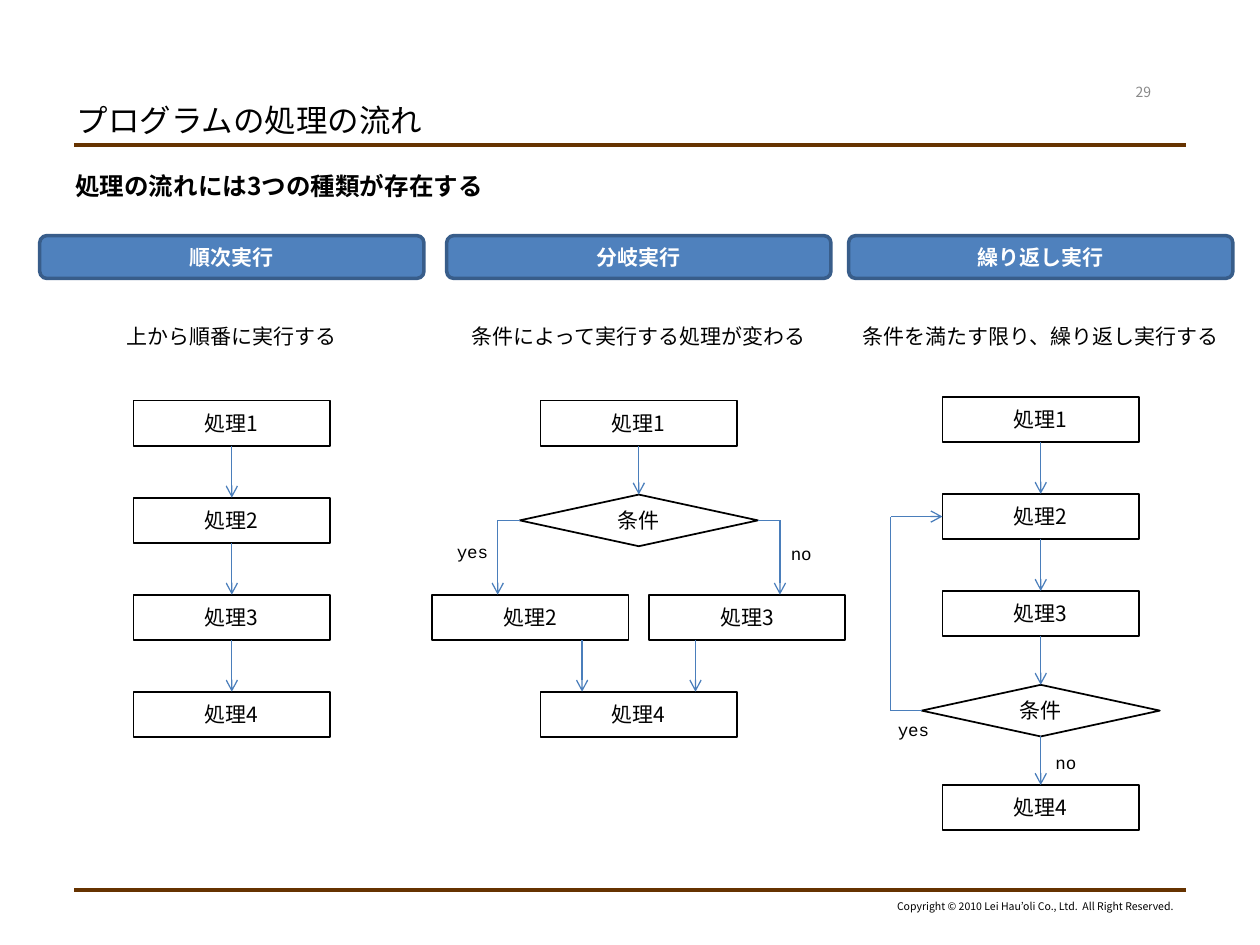
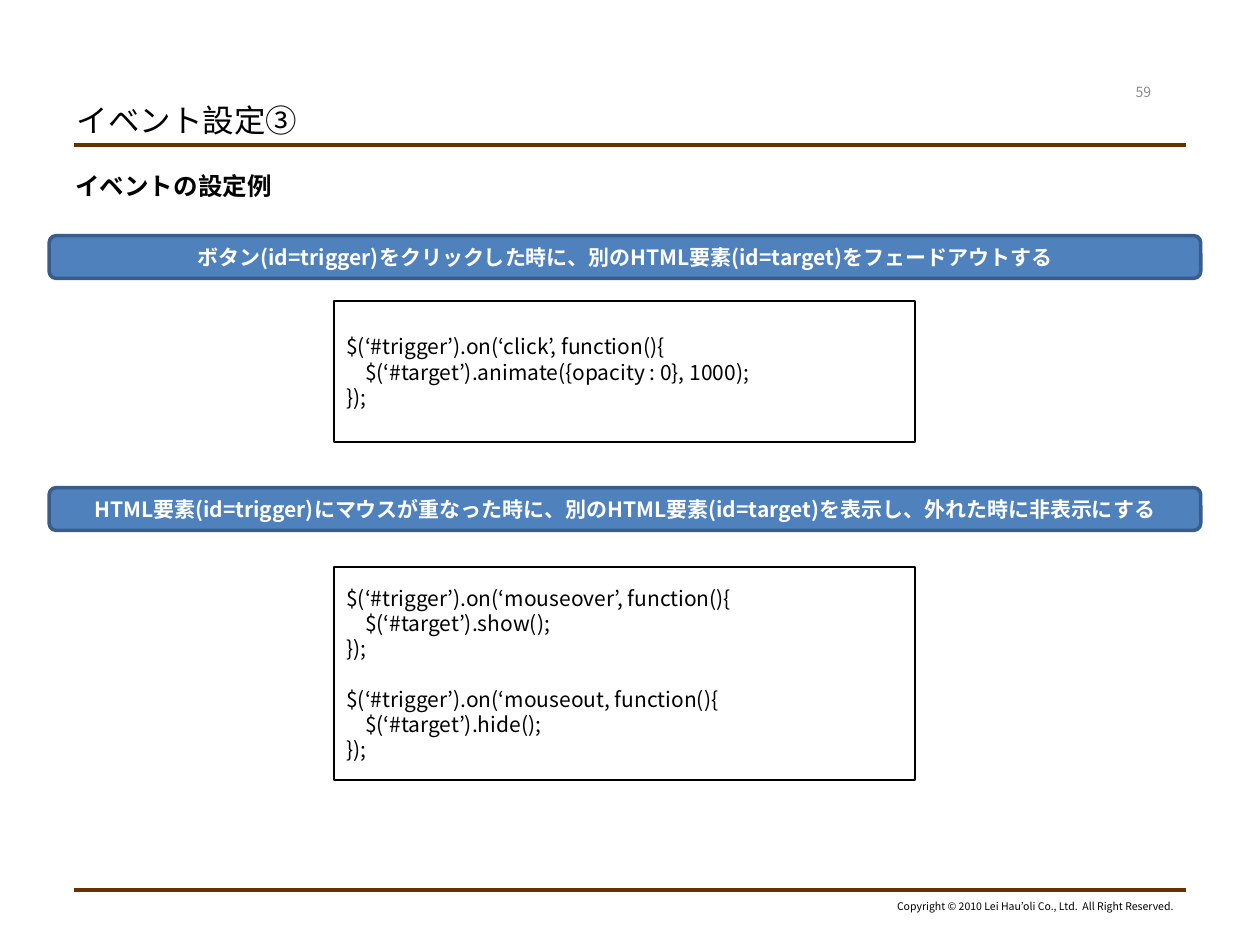
from lxml.etree import SubElement
from pptx import Presentation
from pptx.dml.color import RGBColor
from pptx.enum.shapes import MSO_CONNECTOR, MSO_SHAPE
from pptx.enum.text import MSO_ANCHOR, PP_ALIGN
from pptx.oxml.ns import qn
from pptx.util import Inches, Pt

COLORS = {
    "rule": "663300", "text": "000000", "number": "898989",
    "banner": "4F81BD", "banner_line": "385D8A", "banner_text": "FFFFFF", "arrow": "4A7EBB",
}
SANS, MONO = "Noto Sans CJK JP", "Courier New"
COPYRIGHT = "Copyright © 2010 Lei Hau’oli Co., Ltd.  All Right Reserved."
TOP, LEFT, BOTTOM, RIGHT = range(4)

FLOW_SLIDE = ("プログラムの処理の流れ", "処理の流れには3つの種類が存在する", "29")
FLOWS = [
    {
        "name": "順次実行", "caption": "上から順番に実行する", "center": 1.84, "first_row": 3.36,
        "nodes": [("処理1", 0, 0), ("処理2", 0, 1), ("処理3", 0, 2), ("処理4", 0, 3)],
        "paths": [
            [("処理1", BOTTOM), ("処理2", TOP)],
            [("処理2", BOTTOM), ("処理3", TOP)],
            [("処理3", BOTTOM), ("処理4", TOP)],
        ],
        "answers": [],
    },
    {
        "name": "分岐実行", "caption": "条件によって実行する処理が変わる", "center": 5.07, "first_row": 3.36,
        "nodes": [("処理1", 0, 0), ("条件", 0, 1), ("処理2", -0.86, 2), ("処理3", 0.86, 2), ("処理4", 0, 3)],
        "paths": [
            [("処理1", BOTTOM), ("条件", TOP)],
            [("条件", LEFT), (-1.12, 1, 0), (-1.12, 2, -1)],
            [("条件", RIGHT), (1.12, 1, 0), (1.12, 2, -1)],
            [(-0.45, 2, 1), (-0.45, 3, -1)],
            [(0.45, 2, 1), (0.45, 3, -1)],
        ],
        "answers": [("yes", -1.32, 1.32), ("no", 1.29, 1.34)],
    },
    {
        "name": "繰り返し実行", "caption": "条件を満たす限り、繰り返し実行する", "center": 8.26, "first_row": 3.33,
        "nodes": [("処理1", 0, 0), ("処理2", 0, 1), ("処理3", 0, 2), ("条件", 0, 3), ("処理4", 0, 4)],
        "paths": [
            [("処理1", BOTTOM), ("処理2", TOP)],
            [("処理2", BOTTOM), ("処理3", TOP)],
            [("処理3", BOTTOM), ("条件", TOP)],
            [("条件", BOTTOM), ("処理4", TOP)],
            [("条件", LEFT), (-1.19, 3, 0), (-1.19, 1, 0), ("処理2", LEFT)],
        ],
        "answers": [("yes", -1.01, 3.19), ("no", 0.2, 3.53)],
    },
]

EVENT_SLIDE = ("イベント設定③", "イベントの設定例", "59")
EXAMPLES = [
    {
        "name": "ボタン(id=trigger)をクリックした時に、別のHTML要素(id=target)をフェードアウトする",
        "banner_top": 1.87, "code_top": 2.39, "code_height": 1.12,
        "blocks": [["$(‘#trigger’).on(‘click’, function(){",
                    "    $(‘#target’).animate({opacity : 0}, 1000);", "});"]],
    },
    {
        "name": "HTML要素(id=trigger)にマウスが重なった時に、別のHTML要素(id=target)を表示し、外れた時に非表示にする",
        "banner_top": 3.87, "code_top": 4.5, "code_height": 1.69,
        "blocks": [
            ["$(‘#trigger’).on(‘mouseover’, function(){", "    $(‘#target’).show();", "});"],
            ["$(‘#trigger’).on(‘mouseout, function(){", "    $(‘#target’).hide();", "});"],
        ],
    },
]

ROW_PITCH = 0.77
BOX_SIZE = (1.56, 0.36)
DECISION_SIZE = (1.89, 0.41)
BANNER_TOP, BANNER_HEIGHT, FLOW_WIDTH = 1.87, 0.34, 3.05
EXAMPLE_LEFT, EXAMPLE_WIDTH = 0.39, 9.14
CODE_LEFT, CODE_WIDTH = 2.65, 4.61
LINE_HEIGHT = 1.2


def rgb(name):
    return RGBColor.from_string(COLORS[name])


def write(shape, blocks, size, color="text", font=SANS, bold=False,
          align=PP_ALIGN.LEFT, anchor=MSO_ANCHOR.MIDDLE, wrap=True):
    frame = shape.text_frame
    frame.word_wrap = wrap
    frame.vertical_anchor = anchor
    frame.text = "\n".join(line for block in blocks for line in block)
    starts = {sum(map(len, blocks[:index])) for index in range(1, len(blocks))}
    for index, paragraph in enumerate(frame.paragraphs):
        paragraph.alignment = align
        paragraph.line_spacing = Pt(size * LINE_HEIGHT)
        if index in starts:
            paragraph.space_before = Pt(size * LINE_HEIGHT)
        for run in paragraph.runs:
            run.font.name = font
            run.font.size = Pt(size)
            run.font.bold = bold
            run.font.color.rgb = rgb(color)
            SubElement(run.font._element, qn("a:ea"), typeface=SANS)


def add_text(slide, box, text, size, **style):
    write(slide.shapes.add_textbox(*map(Inches, box)), [[text]], size, **style)


def add_outline(slide, preset, box, line="text", width=1, fill=None):
    shape = slide.shapes.add_shape(preset, *map(Inches, box))
    shape.shadow.inherit = False
    if fill:
        shape.fill.solid()
        shape.fill.fore_color.rgb = rgb(fill)
    else:
        shape.fill.background()
    shape.line.color.rgb = rgb(line)
    shape.line.width = Pt(width)
    return shape


def add_banner(slide, left, top, width, text):
    banner = add_outline(slide, MSO_SHAPE.ROUNDED_RECTANGLE, (left, top, width, BANNER_HEIGHT),
                         "banner_line", 2, "banner")
    write(banner, [[text]], 12, color="banner_text", bold=True, align=PP_ALIGN.CENTER)


def add_line(slide, start, end, color, width, arrow=False):
    connector = slide.shapes.add_connector(MSO_CONNECTOR.STRAIGHT, *map(Inches, (*start, *end)))
    connector.line.color.rgb = rgb(color)
    connector.line.width = Pt(width)
    if arrow:
        SubElement(connector.line._get_or_add_ln(), qn("a:tailEnd"), type="arrow")
    SubElement(connector._element.spPr, qn("a:effectLst"))
    return connector


def add_page(presentation, title, heading, number):
    slide = presentation.slides.add_slide(presentation.slide_layouts[6])
    for y in (1.15, 7.06):
        add_line(slide, (0.59, y), (9.41, y), "rule", 2.25)
    add_text(slide, (6.99, 7.09, 2.42, 0.2), COPYRIGHT, 6, align=PP_ALIGN.RIGHT,
             anchor=MSO_ANCHOR.TOP, wrap=False)
    add_text(slide, (0.51, 0.76, 5.68, 0.39), title, 18)
    add_text(slide, (0.5, 1.31, 9, 0.4), heading, 14, bold=True, anchor=MSO_ANCHOR.TOP)
    add_text(slide, (8.78, 0.61, 0.59, 0.24), number, 8, color="number", align=PP_ALIGN.CENTER)
    return slide


def add_flow(slide, flow):
    center, first_row = flow["center"], flow["first_row"]
    left = center - FLOW_WIDTH / 2
    nodes = {}

    def place(offset, row, edge=0):
        return center + offset, first_row + row * ROW_PITCH + edge * BOX_SIZE[1] / 2

    def locate(stop):
        if stop[0] not in nodes:
            return place(*stop)
        _, offset, row = next(node for node in flow["nodes"] if node[0] == stop[0])
        return place(offset, row)

    add_banner(slide, left, BANNER_TOP, FLOW_WIDTH, flow["name"])
    add_text(slide, (left, 2.52, FLOW_WIDTH, 0.3), flow["caption"], 12, font=MONO,
             align=PP_ALIGN.CENTER, wrap=False)
    for text, offset, row in flow["nodes"]:
        decision = text == "条件"
        preset = MSO_SHAPE.FLOWCHART_DECISION if decision else MSO_SHAPE.RECTANGLE
        width, height = DECISION_SIZE if decision else BOX_SIZE
        x, y = place(offset, row)
        nodes[text] = add_outline(slide, preset, (x - width / 2, y - height / 2, width, height))
        write(nodes[text], [[text]], 12, align=PP_ALIGN.CENTER)
    for path in flow["paths"]:
        for start, end in zip(path, path[1:]):
            connector = add_line(slide, locate(start), locate(end), "arrow", 0.75, end is path[-1])
            if start[0] in nodes:
                connector.begin_connect(nodes[start[0]], start[1])
            if end[0] in nodes:
                connector.end_connect(nodes[end[0]], end[1])
    for text, offset, row in flow["answers"]:
        x, y = place(offset, row)
        add_text(slide, (x - 0.23, y - 0.14, 0.46, 0.28), text, 10, font=MONO,
                 align=PP_ALIGN.CENTER, wrap=False)


def add_example(slide, example):
    add_banner(slide, EXAMPLE_LEFT, example["banner_top"], EXAMPLE_WIDTH, example["name"])
    code = add_outline(slide, MSO_SHAPE.RECTANGLE,
                       (CODE_LEFT, example["code_top"], CODE_WIDTH, example["code_height"]))
    write(code, example["blocks"], 12)


def main():
    """Build the program flow slide and the event setting slide."""
    presentation = Presentation()
    presentation.slide_width, presentation.slide_height = Inches(10), Inches(7.5)
    flow_slide = add_page(presentation, *FLOW_SLIDE)
    for flow in FLOWS:
        add_flow(flow_slide, flow)
    event_slide = add_page(presentation, *EVENT_SLIDE)
    for example in EXAMPLES:
        add_example(event_slide, example)
    presentation.save("out.pptx")


if __name__ == "__main__":
    main()
